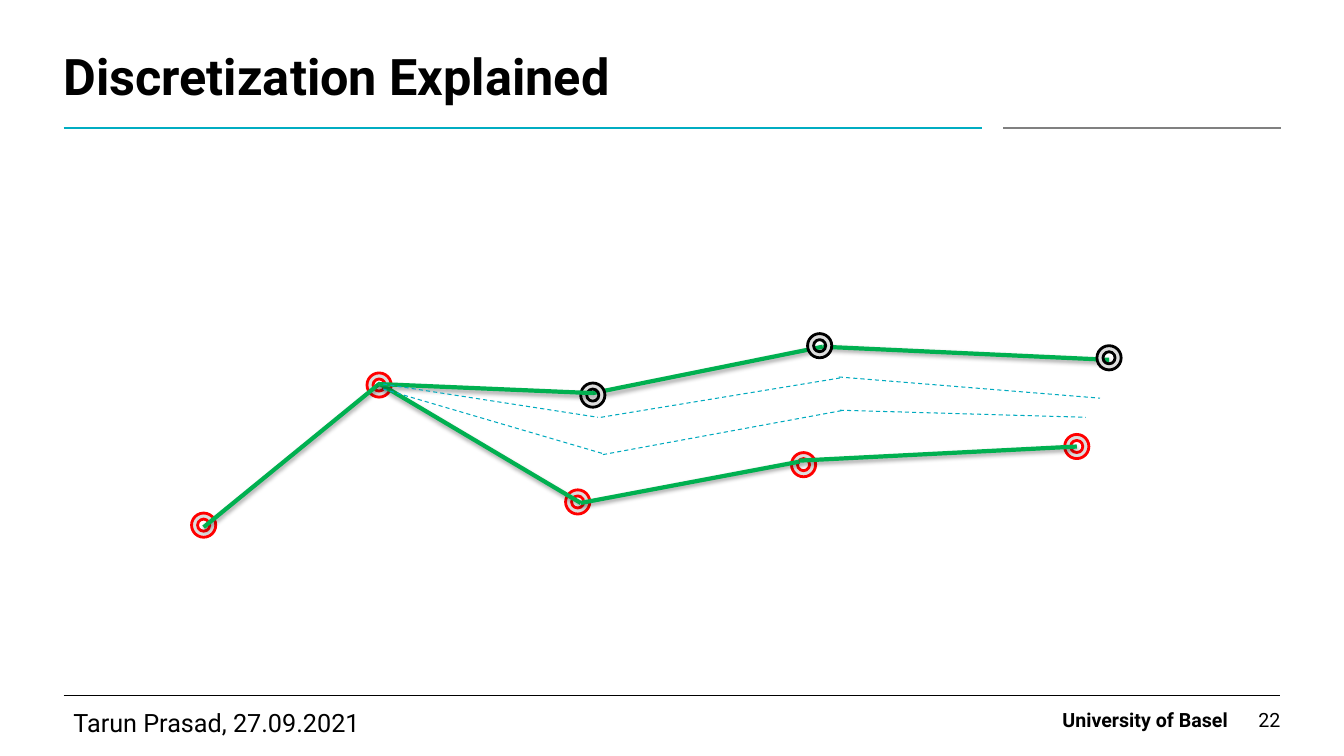
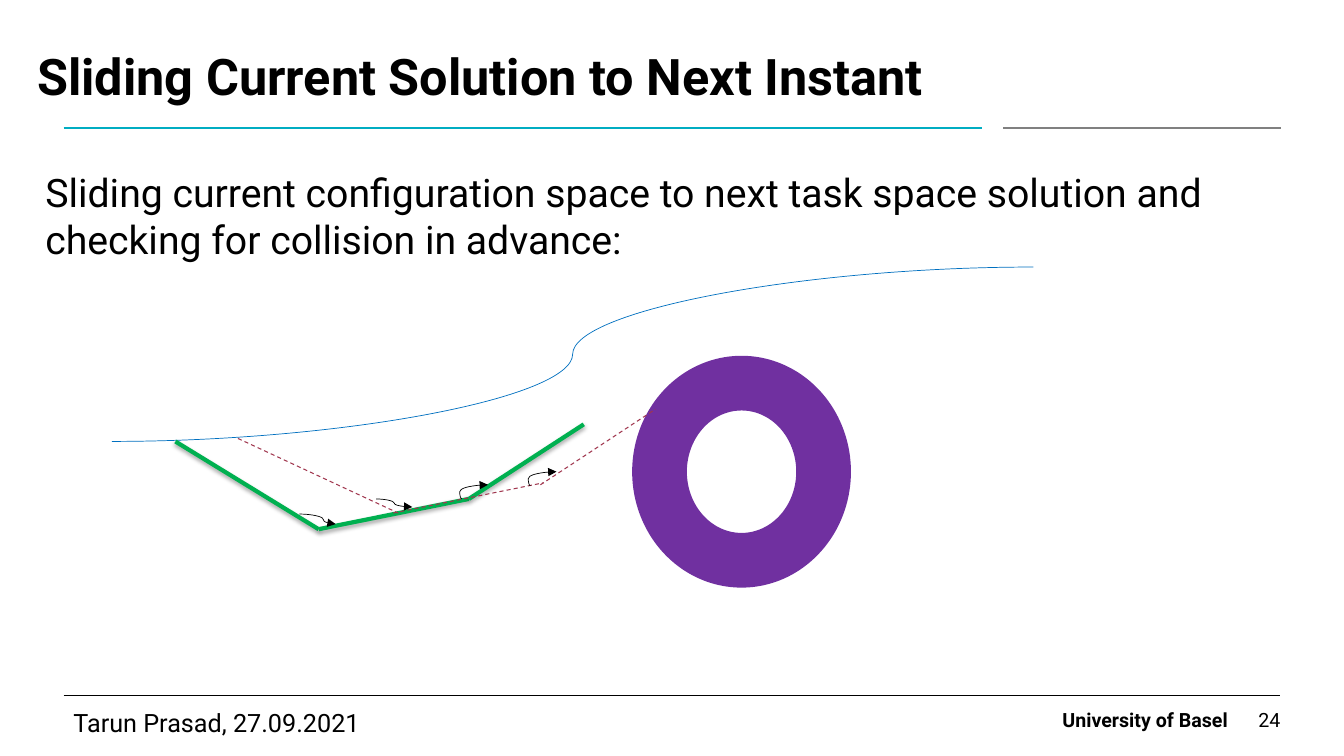
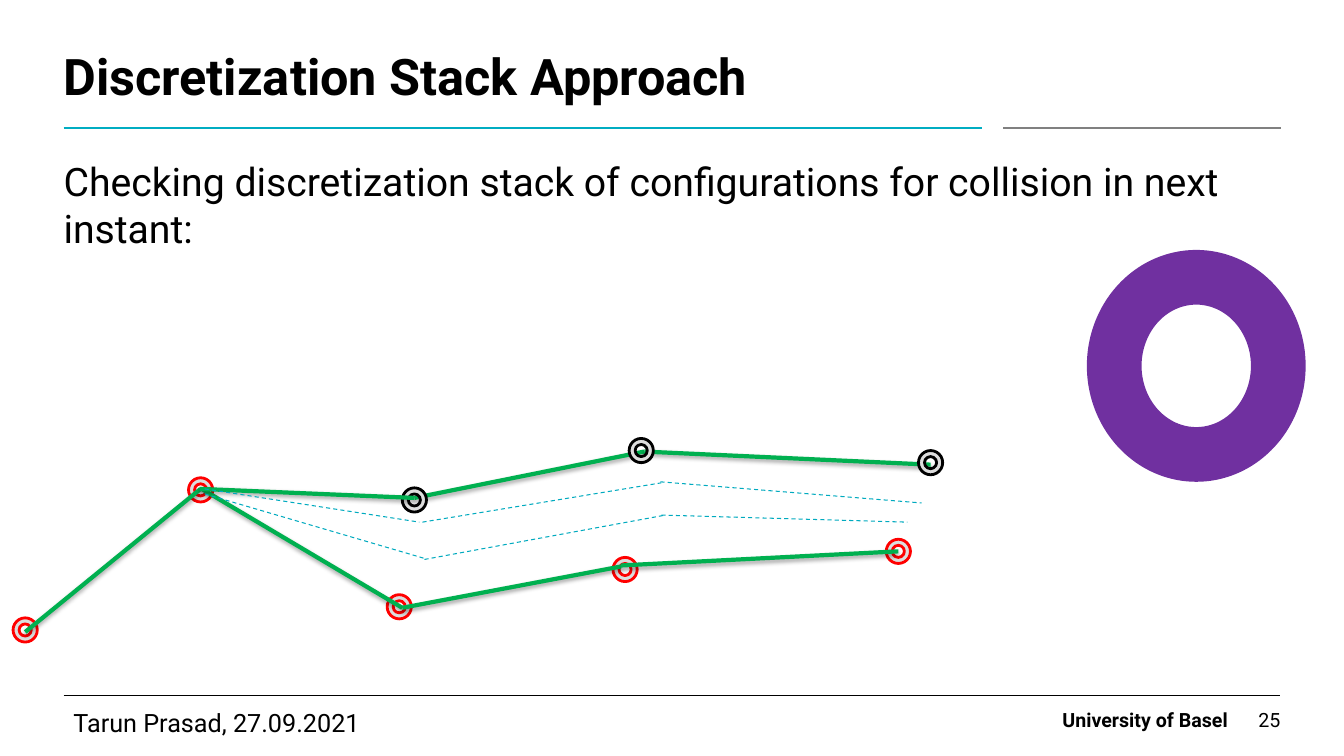
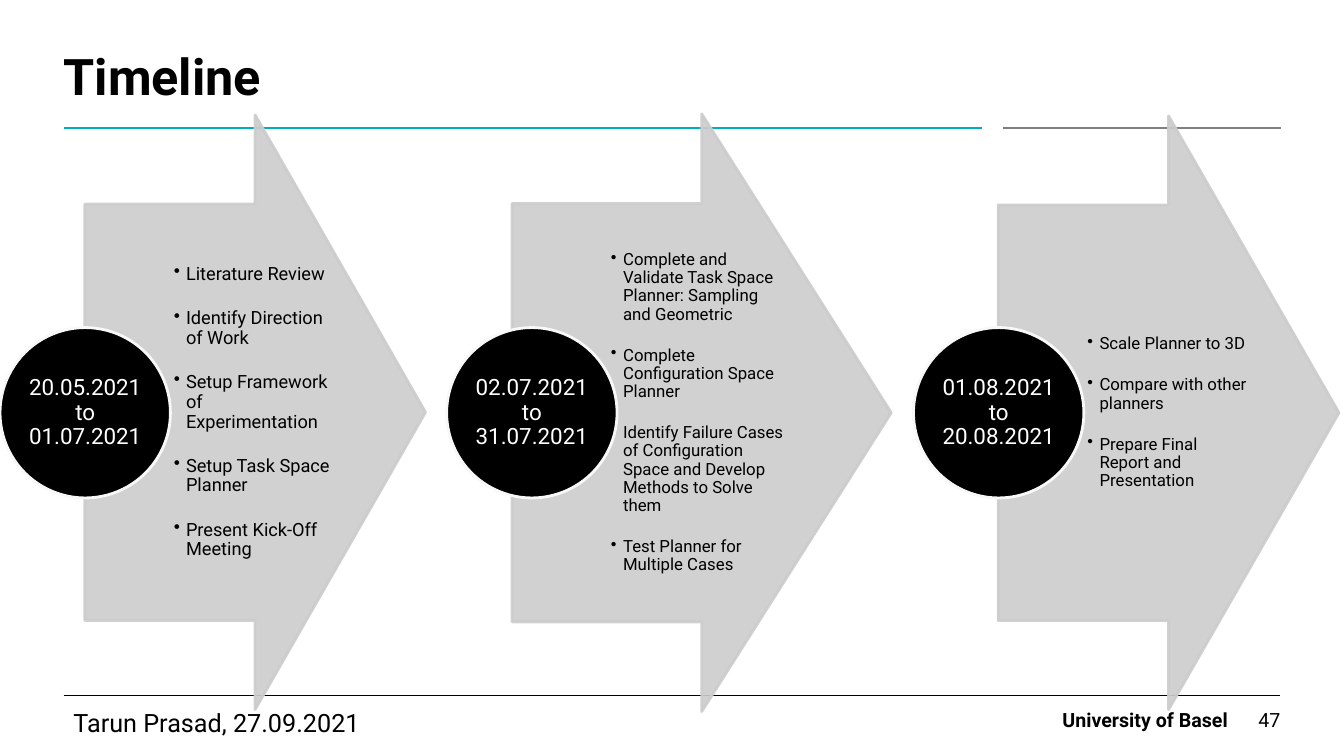
from lxml.etree import SubElement
from pptx import Presentation
from pptx.dml.color import RGBColor
from pptx.enum.dml import MSO_LINE
from pptx.enum.shapes import MSO_CONNECTOR as CONNECTOR, MSO_SHAPE as SHAPE
from pptx.enum.text import MSO_ANCHOR as ANCHOR, MSO_AUTO_SIZE as AUTO_SIZE, PP_ALIGN as ALIGN
from pptx.oxml.ns import qn
from pptx.util import Inches, Pt

COLORS = {
    "black": "000000", "white": "FFFFFF", "teal": "00ADC2", "gray": "808080",
    "green": "00B050", "sample": "00AABF", "node": "DDDDDD", "red": "FF0000",
    "blue": "0070C0", "maroon": "A0364E", "purple": "7030A0",
    "arrow": "CCCCCC", "ring": "F8F8F8",
}
COLORS = {name: RGBColor.from_string(value) for name, value in COLORS.items()}


def draw_line(slide, points, color, width, dashed=False, shadow=False, bend=None):
    kind = CONNECTOR.STRAIGHT if bend is None else CONNECTOR.CURVE
    line = slide.shapes.add_connector(kind, *[Inches(value) for value in points])
    line.line.color.rgb = COLORS[color]
    line.line.width = Pt(width)
    if dashed:
        line.line.dash_style = MSO_LINE.DASH
    properties = line.element.spPr
    effects = SubElement(properties, qn("a:effectLst"))
    if shadow:
        outer = SubElement(effects, qn("a:outerShdw"), blurRad="40000", dist="23000",
                           dir="5400000", rotWithShape="0")
        black = SubElement(outer, qn("a:srgbClr"), val="000000")
        SubElement(black, qn("a:alpha"), val="35000")
    if bend is not None:
        guides = properties.find(qn("a:prstGeom")).get_or_add_avLst()
        SubElement(guides, qn("a:gd"), name="adj1", fmla=f"val {round(bend * 100000)}")
    return line


def set_text(shape, lines, size, color="black", bold=False, align=ALIGN.LEFT,
             anchor=ANCHOR.TOP, margins=(0, 0, 0, 0)):
    frame = shape.text_frame
    frame.text = "\n".join(lines)
    frame.word_wrap = True
    frame.auto_size = AUTO_SIZE.NONE
    frame.vertical_anchor = anchor
    (frame.margin_left, frame.margin_top,
     frame.margin_right, frame.margin_bottom) = [Inches(value) for value in margins]
    for paragraph in frame.paragraphs:
        paragraph.alignment = align
        paragraph.space_before = Pt(0)
        for run in paragraph.runs:
            run.font.name = "Roboto"
            run.font.size = Pt(size)
            run.font.bold = bold
            run.font.color.rgb = COLORS[color]
    return frame.paragraphs


presentation = Presentation()
presentation.slide_width = Inches(13.33)
presentation.slide_height = Inches(7.5)

pages = [
    ("Discretization Explained", 0.63, "22", None, None),
    ("Sliding Current Solution to Next Instant", 0.37, "24",
     "Sliding current configuration space to next task space solution and "
     "checking for collision in advance:", (0.45, 1.67, 12.05, 4.72)),
    ("Discretization Stack Approach", 0.63, "25",
     "Checking discretization stack of configurations for collision in next instant:",
     (0.63, 1.56, 12.07, 0.71)),
    ("Timeline", 0.63, "47", None, None),
]
slides = []
for title, left, number, body, body_box in pages:
    slide = presentation.slides.add_slide(presentation.slide_layouts[1 if body else 5])
    slides.append(slide)
    heading = slide.shapes.title
    heading.left, heading.top = Inches(left), Inches(0.44)
    heading.width, heading.height = Inches(9.74 - left), Inches(0.83)
    set_text(heading, [title], 36, bold=True, anchor=ANCHOR.MIDDLE)[0].line_spacing = Pt(28)
    if body:
        statement = slide.placeholders[1]
        (statement.left, statement.top,
         statement.width, statement.height) = [Inches(value) for value in body_box]
        properties = set_text(statement, [body], 28)[0]._p.get_or_add_pPr()
        properties.set("marL", "0")
        properties.set("indent", "0")
        SubElement(properties, qn("a:buNone"))
    for text, left, width, bold in [("University of Basel", 10.13, 2.05, True),
                                    (number, 12.18, 0.52, False)]:
        footer = slide.shapes.add_textbox(Inches(left), Inches(6.97), Inches(width), Inches(0.31))
        set_text(footer, [text], 14, bold=bold, align=ALIGN.RIGHT, anchor=ANCHOR.MIDDLE,
                 margins=(0, 0.02, 0, 0))

explained, sliding, stack, timeline = slides

author = explained.shapes.add_textbox(Inches(0.63), Inches(6.97), Inches(7.22), Inches(0.31))
set_text(author, ["Tarun Prasad, 27.09.2021"], 18, margins=(0.1, 0.05, 0.1, 0.05))
master_shapes = [
    draw_line(explained, (0.63, 6.9, 12.7, 6.9), "black", 0.25),
    draw_line(explained, (0.63, 1.27, 9.74, 1.27), "teal", 1.5),
    draw_line(explained, (9.95, 1.27, 12.71, 1.27), "gray", 1.5),
    author,
]
for shape_id, shape in enumerate(master_shapes, 20):
    shape.element.xpath(".//p:cNvPr")[0].set("id", str(shape_id))
    presentation.slide_master.shapes.element.append(shape.element)

for slide, left, top in [(sliding, 6.27, 3.53), (stack, 10.78, 2.48)]:
    obstacle = slide.shapes.add_shape(SHAPE.DONUT, Inches(left), Inches(top),
                                      Inches(2.17), Inches(2.3))
    obstacle.shadow.inherit = False
    obstacle.fill.solid()
    obstacle.fill.fore_color.rgb = COLORS["purple"]
    obstacle.line.fill.background()

upper_links = [(5.88, 3.9, 8.16, 3.44), (8.16, 3.44, 11, 3.57)]
nodes = [
    (1.9, 5.09, "red"), (3.64, 3.7, "red"), (5.61, 4.86, "red"), (7.85, 4.49, "red"),
    (10.56, 4.31, "red"), (5.76, 3.8, "black"), (8.01, 3.31, "black"), (10.88, 3.43, "black"),
]
front_links = [
    (2.02, 5.23, 3.76, 3.81), (3.77, 3.81, 5.76, 4.99), (5.76, 4.99, 7.93, 4.58),
    (7.93, 4.57, 10.68, 4.43), (3.75, 3.81, 5.88, 3.9),
]
samples = [
    (3.8, 3.86, 5.98, 4.5), (5.98, 4.51, 8.37, 4.07), (8.33, 4.07, 10.77, 4.14),
    (3.8, 3.81, 5.93, 4.14), (5.96, 4.14, 8.33, 3.75), (8.32, 3.74, 10.91, 3.95),
]
for slide, dx, dy in [(explained, 0, 0), (stack, -1.77, 1.04)]:
    shift = (dx, dy, dx, dy)
    for link in upper_links:
        draw_line(slide, [a + b for a, b in zip(link, shift)], "green", 3, shadow=True)
    for left, top, color in nodes:
        node = slide.shapes.add_shape(SHAPE.DONUT, Inches(left + dx), Inches(top + dy),
                                      Inches(0.24), Inches(0.24))
        node.shadow.inherit = False
        node.fill.solid()
        node.fill.fore_color.rgb = COLORS["node"]
        node.line.color.rgb = COLORS[color]
        node.line.width = Pt(2)
    for link in front_links:
        draw_line(slide, [a + b for a, b in zip(link, shift)], "green", 3, shadow=True)
    for sample in samples:
        draw_line(slide, [a + b for a, b in zip(sample, shift)], "sample", 0.75, dashed=True)

draw_line(sliding, (1.11, 4.38, 10.25, 2.65), "blue", 0.5, bend=0.5)
for link in [(1.74, 4.38, 3.16, 5.25), (3.16, 5.25, 4.65, 4.95), (4.65, 4.95, 5.79, 4.21)]:
    draw_line(sliding, link, "green", 3, shadow=True)
for link in [(2.36, 4.35, 3.95, 5.09), (3.9, 5.09, 5.39, 4.79), (5.36, 4.81, 6.5, 4.06)]:
    draw_line(sliding, link, "maroon", 0.75, dashed=True)
for points, bend in [((2.97, 5.1, 3.33, 5.2), 0.65), ((4.58, 4.95, 4.84, 4.81), -0.08),
                     ((3.73, 4.95, 4.09, 5.03), 0.5), ((5.26, 4.82, 5.52, 4.68), -0.08)]:
    motion = draw_line(sliding, points, "black", 0.5, bend=bend)
    SubElement(motion.line._get_or_add_ln(), qn("a:tailEnd"), type="triangle")

phases = [
    ("20.05.2021 to 01.07.2021", 0, (0.84, 1.14, 3.38, 5.9), 1.65, 13, 17.5,
     ["Literature Review", "Identify Direction of Work", "Setup Framework of Experimentation",
      "Setup Task Space Planner", "Present Kick-Off Meeting"]),
    ("02.07.2021 to 31.07.2021", 4.43, (5.08, 1.13, 3.76, 5.93), 1.83, 12, 16.5,
     ["Complete and Validate Task Space Planner: Sampling and Geometric",
      "Complete Configuration Space Planner",
      "Identify Failure Cases of Configuration Space and Develop Methods to Solve them",
      "Test Planner for Multiple Cases"]),
    ("01.08.2021 to 20.08.2021", 9.06, (9.9, 1.15, 3.38, 5.89), 1.65, 12, 16.5,
     ["Scale Planner to 3D", "Compare with other planners",
      "Prepare Final Report and Presentation"]),
]
for dates, circle_left, arrow_box, tasks_width, size, gap, tasks in phases:
    arrow = timeline.shapes.add_shape(SHAPE.RIGHT_ARROW, *[Inches(value) for value in arrow_box])
    arrow.shadow.inherit = False
    arrow.adjustments[0] = 0.7
    arrow.adjustments[1] = 0.5
    arrow.fill.solid()
    arrow.fill.fore_color.rgb = COLORS["arrow"]
    arrow.line.color.rgb = COLORS["arrow"]
    arrow.line.width = Pt(2)
    for color in arrow.element.spPr.iter(qn("a:srgbClr")):
        SubElement(color, qn("a:alpha"), val="90000")

    left, top, width, height = arrow_box
    task_list = timeline.shapes.add_textbox(Inches(left + width / 4), Inches(top + height * 0.15),
                                            Inches(tasks_width), Inches(height * 0.7))
    paragraphs = set_text(task_list, tasks, size, anchor=ANCHOR.MIDDLE,
                          margins=(0.04, 0.01, 0.02, 0.01))
    for index, paragraph in enumerate(paragraphs):
        paragraph.line_spacing = 0.9
        paragraph.space_before = Pt(gap if index else 0)
        properties = paragraph._p.get_or_add_pPr()
        properties.set("marL", str(Inches(0.12)))
        properties.set("indent", str(-Inches(0.12)))
        SubElement(properties, qn("a:buChar"), char="•")

    circle = timeline.shapes.add_shape(SHAPE.OVAL, Inches(circle_left), Inches(3.25),
                                       Inches(1.69), Inches(1.69))
    circle.shadow.inherit = False
    circle.fill.solid()
    circle.fill.fore_color.rgb = COLORS["black"]
    circle.line.color.rgb = COLORS["ring"]
    circle.line.width = Pt(2)
    set_text(circle, [dates], 16, "white", align=ALIGN.CENTER, anchor=ANCHOR.MIDDLE,
             margins=(0.01, 0.01, 0.01, 0.01))[0].line_spacing = 0.9

presentation.save("out.pptx")
